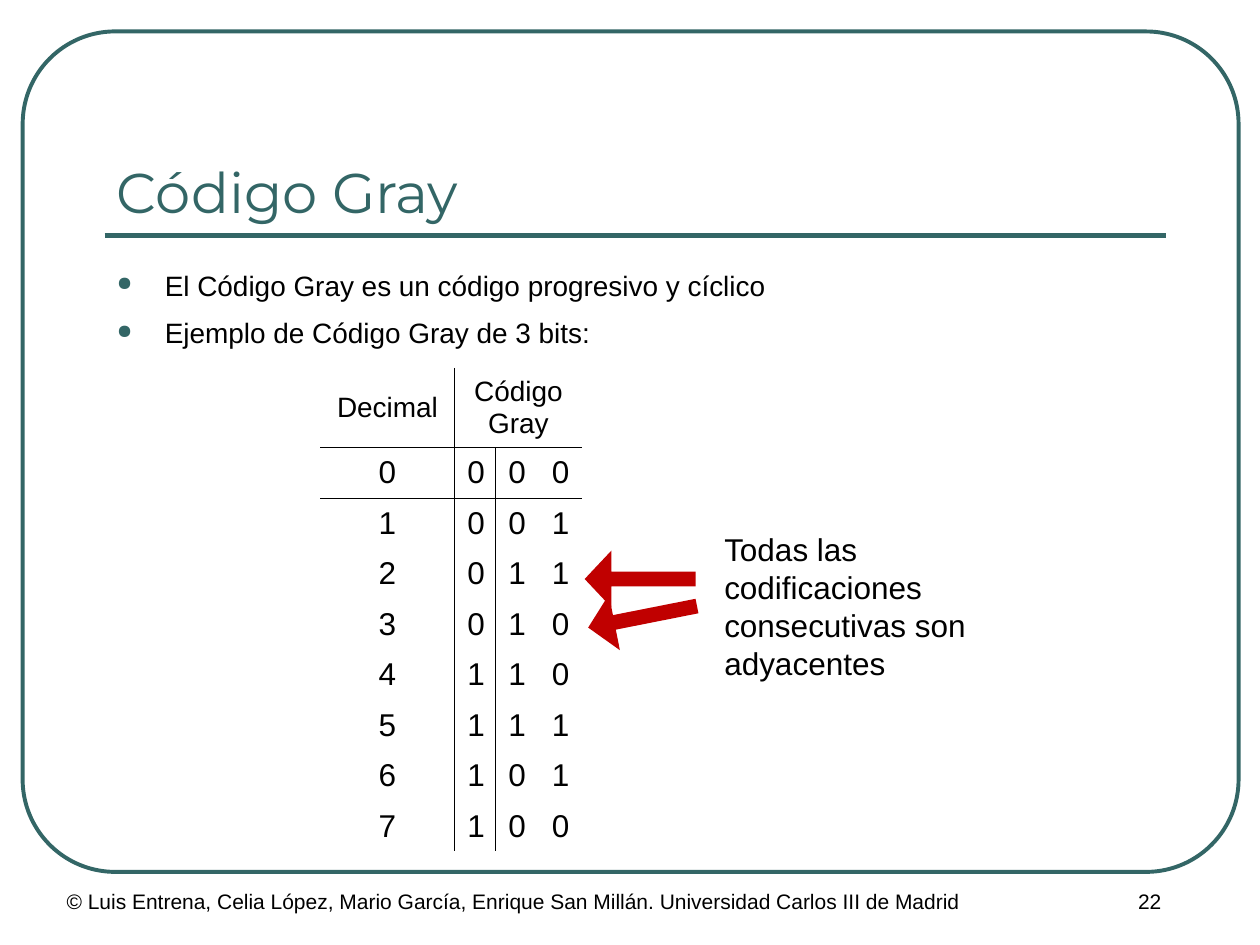
from lxml.etree import SubElement
from pptx import Presentation
from pptx.dml.color import RGBColor
from pptx.enum.shapes import MSO_CONNECTOR, MSO_SHAPE
from pptx.enum.text import MSO_ANCHOR, MSO_AUTO_SIZE, PP_ALIGN
from pptx.oxml.ns import qn
from pptx.util import Inches, Pt

PLAIN_TABLE = "{2D5ABB26-0587-4C30-8999-92F81FD0307C}"


def color(value):
    return RGBColor.from_string(value)


def apply(target, values):
    for name, value in values.items():
        setattr(target, name, value)


def inches(values):
    return [Inches(value) for value in values]


class SlideBuilder:
    text_color = "000000"
    accent = "336666"
    arrow_color = "C00000"
    body_font = "Arial"
    title_font = "Montserrat"
    rule_width = Pt(0.45)

    def __init__(self, slide):
        self.slide = slide

    def add_run(self, paragraph, text, size, font_name=None, font_color=None, **layout):
        apply(paragraph, layout)
        run = paragraph.add_run()
        run.text = text
        apply(run.font, {"size": Pt(size), "name": font_name or self.body_font})
        run.font.color.rgb = color(font_color or self.text_color)

    def bullet(self, paragraph):
        properties = paragraph._p.get_or_add_pPr()
        properties.set("marL", str(Inches(0.38)))
        properties.set("indent", str(Inches(-0.38)))
        bullet_color = SubElement(properties, qn("a:buClr"))
        SubElement(bullet_color, qn("a:srgbClr"), val=self.accent)
        SubElement(properties, qn("a:buSzPct"), val="70000")
        SubElement(properties, qn("a:buChar"), char="●")

    def text(self, box, lines, size, bullets=False, frame=None, **style):
        shape = self.slide.shapes.add_textbox(*inches(box))
        text_frame = shape.text_frame
        apply(text_frame, {"word_wrap": True, **(frame or {})})
        for index, line in enumerate(lines):
            paragraph = text_frame.add_paragraph() if index else text_frame.paragraphs[0]
            self.add_run(paragraph, line, size, **style)
            if bullets:
                self.bullet(paragraph)

    def frame(self, box, adjustment, width):
        shape = self.slide.shapes.add_shape(MSO_SHAPE.ROUNDED_RECTANGLE, *inches(box))
        shape.shadow.inherit = False
        shape.adjustments[0] = adjustment
        shape.fill.background()
        shape.line.color.rgb = color(self.accent)
        shape.line.width = Pt(width)

    def line(self, ends, width):
        connector = self.slide.shapes.add_connector(MSO_CONNECTOR.STRAIGHT, *inches(ends))
        connector.line.color.rgb = color(self.accent)
        connector.line.width = Pt(width)
        SubElement(connector._element.spPr, qn("a:effectLst"))

    def arrow(self, box, rotation):
        shape = self.slide.shapes.add_shape(MSO_SHAPE.RIGHT_ARROW, *inches(box))
        shape.shadow.inherit = False
        shape.rotation = rotation
        shape.adjustments[0], shape.adjustments[1] = 0.26, 0.47
        shape.fill.solid()
        shape.fill.fore_color.rgb = color(self.arrow_color)
        shape.line.fill.background()

    def border(self, cell, row, column):
        sides = {"L": column == 1, "R": column == 0, "T": row == 1, "B": row == 0}
        properties = cell._tc.get_or_add_tcPr()
        for side, visible in sides.items():
            if visible:
                edge = SubElement(properties, qn(f"a:ln{side}"), w=str(self.rule_width))
                fill = SubElement(edge, qn("a:solidFill"))
                SubElement(fill, qn("a:srgbClr"), val=self.text_color)

    def table(self, box, widths, heights, rows):
        shape = self.slide.shapes.add_table(len(heights), len(widths), *inches(box))
        table = shape.table
        apply(table, {"first_row": False, "horz_banding": False})
        table._tbl.tblPr.find(qn("a:tableStyleId")).text = PLAIN_TABLE
        for column, width in zip(table.columns, widths):
            column.width = Inches(width)
        for row, height in zip(table.rows, heights):
            row.height = Inches(height)
        table.cell(0, 1).merge(table.cell(0, len(widths) - 1))
        for row_index, values in enumerate(rows):
            for column_index, value in enumerate(values):
                cell = table.cell(row_index, column_index)
                apply(cell, {"vertical_anchor": MSO_ANCHOR.MIDDLE,
                             "margin_left": Inches(0.1), "margin_right": Inches(0.1),
                             "margin_top": Inches(0.05), "margin_bottom": Inches(0.05)})
                self.border(cell, row_index, column_index)
                cell.fill.background()
                if value:
                    self.add_run(cell.text_frame.paragraphs[0], value,
                                 18 if row_index else 16, alignment=PP_ALIGN.CENTER)


def main():
    presentation = Presentation()
    apply(presentation, {"slide_width": Inches(10), "slide_height": Inches(7.5)})
    builder = SlideBuilder(presentation.slides.add_slide(presentation.slide_layouts[6]))

    builder.frame((0.18, 0.25, 9.65, 6.67), 0.11, 2.25)
    builder.line((0.83, 1.87, 9.25, 1.87), 3)
    builder.text((8.25, 7, 1.75, 0.5), ["22"], 12, alignment=PP_ALIGN.CENTER)
    builder.text((0.83, 0.58, 8.42, 1.25), ["Código Gray"], 32,
                 frame={"vertical_anchor": MSO_ANCHOR.BOTTOM},
                 font_name=builder.title_font, font_color=builder.accent)
    builder.text((0.83, 2.08, 8.42, 4.83),
                 ["El Código Gray es un código progresivo y cíclico",
                  "Ejemplo de Código Gray de 3 bits:"],
                 16, bullets=True, space_before=Pt(8))

    codes = [[str(number), *f"{number ^ (number >> 1):03b}"] for number in range(8)]
    builder.table((2.54, 2.92, 2.09, 3.84), (1.07, 0.32, 0.35, 0.34),
                  [0.63] + [0.4] * len(codes),
                  [["Decimal", "Código Gray", "", ""]] + codes)

    builder.arrow((4.64, 4.37, 0.88, 0.45), 180)
    builder.arrow((4.66, 4.67, 0.88, 0.45), 168.8)
    builder.text((5.65, 4.16, 2.34, 1.3),
                 ["Todas las codificaciones consecutivas son adyacentes"], 18,
                 frame={"auto_size": MSO_AUTO_SIZE.SHAPE_TO_FIT_TEXT},
                 space_before=Pt(11.2))
    builder.text((0.43, 7, 8.5, 0.5),
                 ["© Luis Entrena, Celia López, Mario García, Enrique San Millán. "
                  "Universidad Carlos III de Madrid"], 12)
    presentation.save("out.pptx")


if __name__ == "__main__":
    main()
